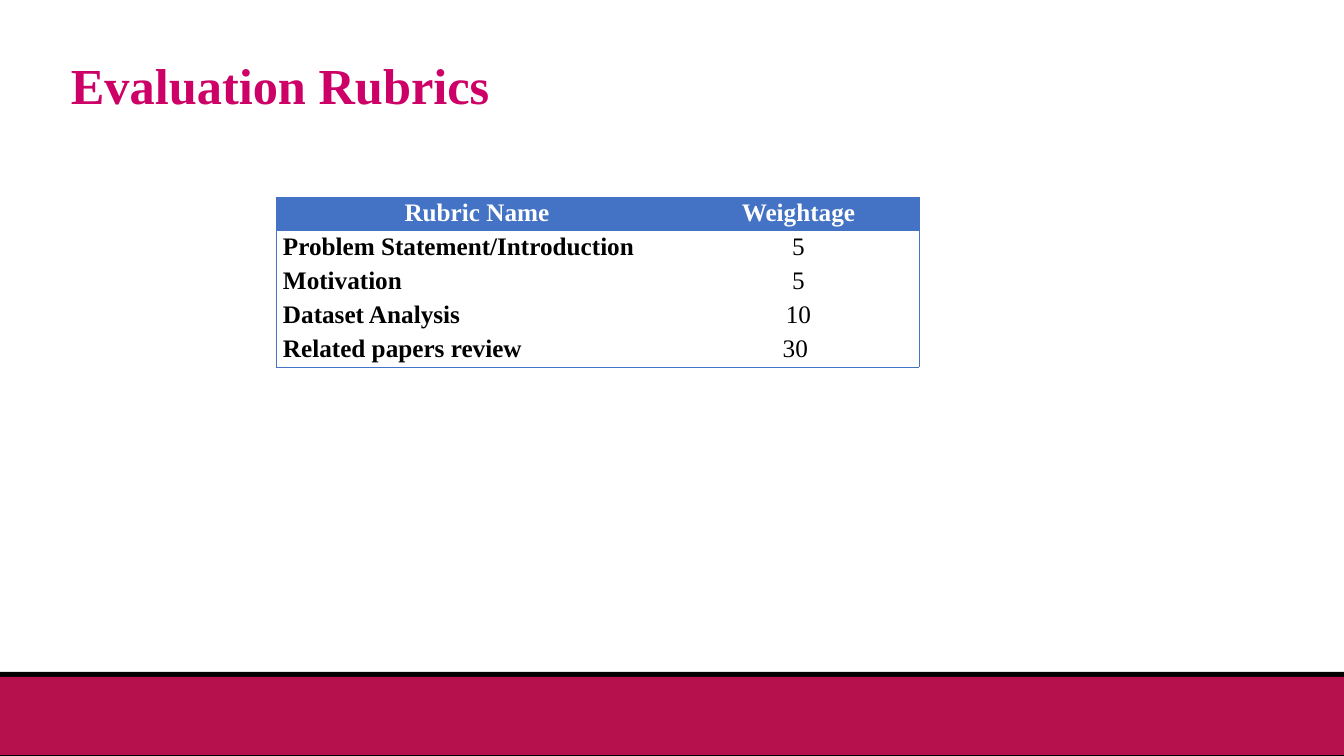
from lxml.etree import SubElement
from pptx import Presentation
from pptx.dml.color import RGBColor
from pptx.enum.shapes import MSO_SHAPE
from pptx.enum.text import MSO_ANCHOR, PP_ALIGN
from pptx.oxml.ns import qn
from pptx.util import Emu, Pt

BLACK = RGBColor(0x00, 0x00, 0x00)
WHITE = RGBColor(0xFF, 0xFF, 0xFF)
CRIMSON = RGBColor(0xB6, 0x11, 0x4D)
MAGENTA = RGBColor(0xCC, 0x00, 0x66)
BLUE = RGBColor(0x44, 0x72, 0xC4)
FONT = "Times New Roman"

RUBRICS = [
    ("Rubric Name", "Weightage"),
    ("Problem Statement/Introduction", "5"),
    ("Motivation", "5"),
    ("Dataset Analysis", "10"),
    ("Related papers review", "30 "),
]
COLUMN_WIDTHS = [402, 241]
ROW_HEIGHT = 34


def px(length):
    return Emu(round(length * 914400 / 100.8))


def add_styled_run(paragraph, text, size, color, bold):
    run = paragraph.add_run()
    run.text = text
    run.font.name = FONT
    run.font.size = Pt(size)
    run.font.bold = bold
    run.font.color.rgb = color


presentation = Presentation()
presentation.slide_width = px(1344)
presentation.slide_height = px(756)
slide = presentation.slides.add_slide(presentation.slide_layouts[6])

# Footer bands
for top, height, color in [(672, 84, BLACK), (677, 78, CRIMSON)]:
    band = slide.shapes.add_shape(MSO_SHAPE.RECTANGLE, 0, px(top), px(1344), px(height))
    band.shadow.inherit = False
    band.fill.solid()
    band.fill.fore_color.rgb = color
    band.line.fill.background()

# Title
title = slide.shapes.add_textbox(px(61), px(48), px(1118), px(72))
title.text_frame.word_wrap = True
title.text_frame.vertical_anchor = MSO_ANCHOR.MIDDLE
add_styled_run(title.text_frame.paragraphs[0], "Evaluation Rubrics", 36, MAGENTA, True)

# Rubric table, outlined on its outer edges only
last_row, last_column = len(RUBRICS) - 1, len(COLUMN_WIDTHS) - 1
table = slide.shapes.add_table(
    len(RUBRICS), len(COLUMN_WIDTHS), px(276), px(197),
    px(sum(COLUMN_WIDTHS)), px(ROW_HEIGHT * len(RUBRICS)),
).table
table.first_row = True
table.horz_banding = False
for column, width in zip(table.columns, COLUMN_WIDTHS):
    column.width = px(width)

for row_index, rubric in enumerate(RUBRICS):
    table.rows[row_index].height = px(ROW_HEIGHT)
    is_header = row_index == 0
    for column_index, text in enumerate(rubric):
        cell = table.cell(row_index, column_index)
        cell.margin_left = cell.margin_right = px(7)
        cell.margin_top = cell.margin_bottom = 0

        paragraph = cell.text_frame.paragraphs[0]
        paragraph.line_spacing = 1.07
        is_label = column_index == 0
        centered = is_header or not is_label
        paragraph.alignment = PP_ALIGN.CENTER if centered else PP_ALIGN.LEFT
        add_styled_run(paragraph, text, 18, WHITE if is_header else BLACK, is_header or is_label)

        properties = cell._tc.get_or_add_tcPr()
        outer_edges = {
            "a:lnL": column_index == 0,
            "a:lnR": column_index == last_column,
            "a:lnT": row_index == 0,
            "a:lnB": row_index == last_row,
        }
        for tag, is_outer in outer_edges.items():
            border = SubElement(properties, qn(tag), w=str(Pt(0.5)))
            if is_outer:
                line_fill = SubElement(border, qn("a:solidFill"))
                SubElement(line_fill, qn("a:srgbClr"), val=str(BLUE))
            else:
                SubElement(border, qn("a:noFill"))

        if is_header:
            cell.fill.solid()
            cell.fill.fore_color.rgb = BLUE
        else:
            cell.fill.background()

presentation.save("out.pptx")
